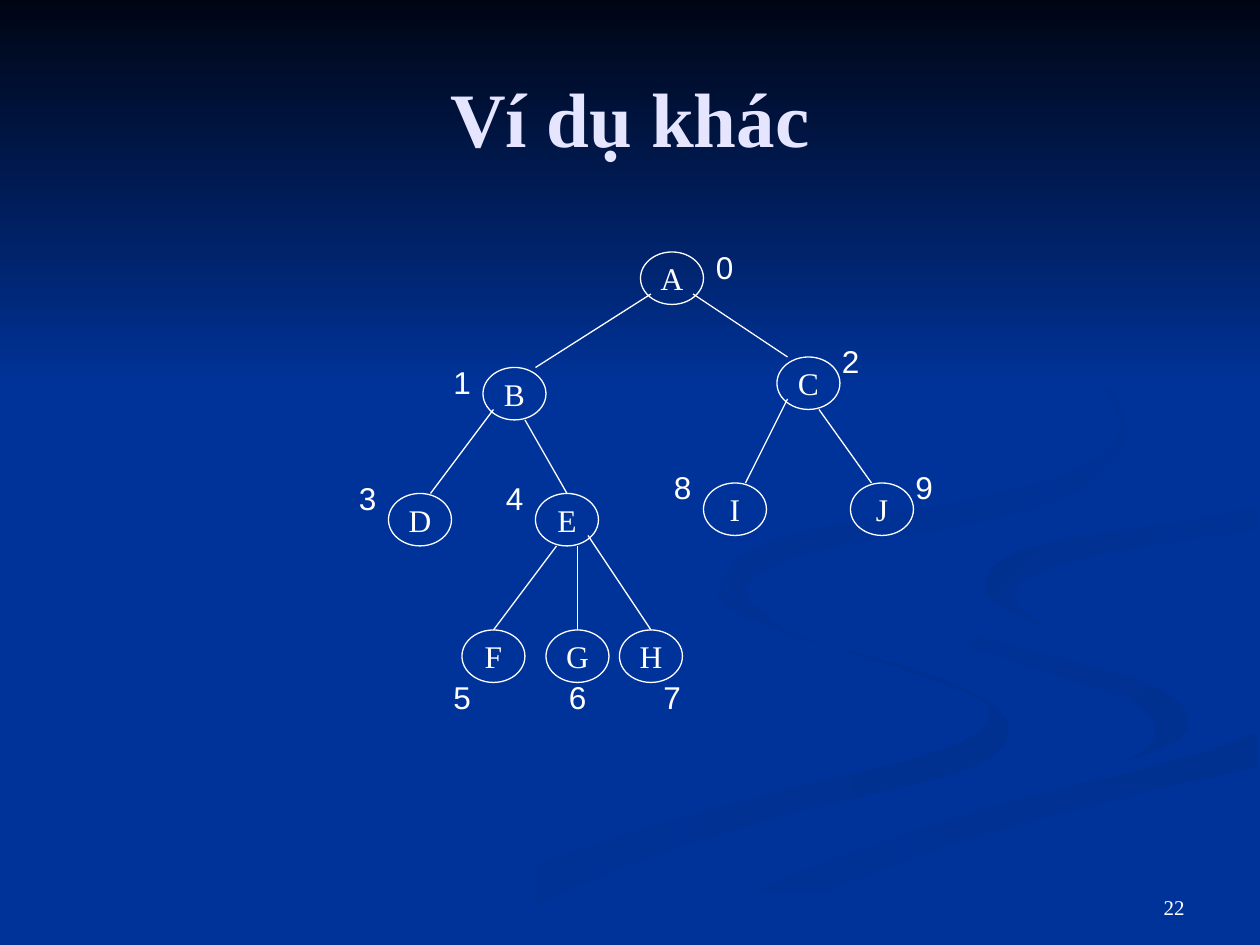
"""Build a slide with a numbered ten-node tree on a blue ribbon ground."""
import dataclasses
import itertools
import typing

import pptx
import pptx.dml.color
import pptx.enum.shapes
import pptx.enum.text
import pptx.oxml
import pptx.oxml.ns
import pptx.util

Cm = pptx.util.Cm
Pt = pptx.util.Pt
RGB = pptx.dml.color.RGBColor
Align = pptx.enum.text.PP_ALIGN
Anchor = pptx.enum.text.MSO_ANCHOR
Kind = pptx.enum.shapes.MSO_SHAPE
Point = tuple[float, float]

BLUE = RGB(0x00, 0x33, 0x99)
SHADE = RGB(0x00, 0x30, 0x90)
NIGHT = RGB(0x00, 0x05, 0x14)
WHITE = RGB(0xFF, 0xFF, 0xFF)
PALE = RGB(0xE5, 0xE5, 0xFF)
INCH = 2.54
STEPS = 6
WIDE, HIGH = 6, 5
SERIF = "Times New Roman"
TITLE = {"name": SERIF, "size": Pt(44), "bold": True}
NODE = {"name": SERIF, "size": Pt(18)}
LABEL = {"name": "Arial", "size": Pt(18)}
PAGE = {"name": SERIF, "size": Pt(12)}


@dataclasses.dataclass
class Node:
    name: str
    x: int
    y: int
    label: str
    label_x: int
    label_y: int


@dataclasses.dataclass
class Edge:
    start: tuple[int, int]
    child: str
    tip: tuple[int, int]


@dataclasses.dataclass
class Ribbon:
    first: RGB
    last: RGB
    angle: int
    sides: list[list[Point]]


NODES = [
    Node("A", 61, 24, "0", 67, 23),
    Node("B", 46, 35, "1", 42, 34),
    Node("C", 74, 34, "2", 79, 32),
    Node("D", 37, 47, "3", 33, 45),
    Node("E", 51, 47, "4", 47, 45),
    Node("F", 44, 60, "5", 42, 64),
    Node("G", 52, 60, "6", 53, 64),
    Node("H", 59, 60, "7", 62, 64),
    Node("I", 67, 46, "8", 63, 44),
    Node("J", 81, 46, "9", 86, 44),
]
EDGES = [
    Edge((62, 28), "B", (51, 35)),
    Edge((66, 28), "C", (75, 34)),
    Edge((47, 39), "D", (41, 47)),
    Edge((50, 40), "E", (54, 47)),
    Edge((53, 52), "F", (47, 60)),
    Edge((55, 52), "G", (55, 60)),
    Edge((56, 51), "H", (62, 60)),
    Edge((75, 38), "I", (71, 46)),
    Edge((78, 39), "J", (83, 46)),
]

LONG_OUT = [(5.75, 4.59), (5.75, 4.69), (5.94, 4.85), (6.42, 5.07), (7.15, 5.28), (7.67, 5.47), (7.95, 5.67),
            (7.99, 5.85), (7.8, 6.05), (7.21, 6.23), (6.23, 6.47), (4.99, 6.87), (3.61, 7.49)]
LONG_IN = [(5.75, 4.59), (5.7, 4.72), (5.86, 4.87), (6.31, 5.05), (7.14, 5.3), (7.7, 5.51), (7.86, 5.66),
           (7.67, 5.87), (7.14, 6.05), (6.16, 6.29), (4.99, 6.61), (3.76, 7.07), (3, 7.49)]
BEND_OUT = [(7.24, 4.64), (7.33, 4.83), (7.74, 5.03), (8.5, 5.24), (9.05, 5.4), (9.35, 5.57), (9.43, 5.75),
            (9.32, 5.89), (8.94, 6.05)]
BEND_IN = [(7.24, 4.64), (7.33, 4.88), (7.66, 5.12), (8.38, 5.36), (8.92, 5.53), (9.15, 5.71), (9.14, 5.89),
           (8.94, 6.05)]
FOOT_TOP = [(9.98, 5.81), (9.36, 6.02), (8.31, 6.29), (7.64, 6.47), (6.62, 6.81), (5.69, 7.19), (5.03, 7.49)]
FOOT_LOW = [(9.98, 6.09), (9.03, 6.3), (7.85, 6.61), (6.95, 6.92), (6.3, 7.19), (5.71, 7.49)]
HOOK_TOP = [(9.98, 4.02), (9.33, 4.15), (8.35, 4.3), (7.91, 4.47), (7.82, 4.69), (7.97, 4.83), (8.26, 4.96)]
HOOK_LOW = [(9.98, 4.2), (9.36, 4.29), (8.59, 4.43), (8.16, 4.59), (8.05, 4.76), (8.26, 4.96)]
BODY_HEAD = [(9.99, 3.87), (9.2, 4.01), (8.3, 4.15), (7.55, 4.32), (7.24, 4.64)]
BODY_TAIL = [(8.94, 6.05), (8.12, 6.25), (7.04, 6.55), (5.73, 7.03), (4.77, 7.49)]
BODY_LINK = [(8.26, 4.96), (8.66, 5.09), (9.23, 5.23), (9.99, 5.38)]
WAVE_OUT = [(7.62, 2.33), (8.21, 2.61), (8.64, 2.91), (8.86, 3.16), (8.94, 3.44), (8.83, 3.7), (8.41, 3.96),
            (7.64, 4.17), (6.83, 4.3), (6.24, 4.44), (5.96, 4.61), (5.94, 4.75), (6.22, 5)]
WAVE_IN = [(7.62, 2.33), (8.26, 2.66), (8.7, 2.99), (8.89, 3.35), (8.76, 3.6), (8.3, 3.82), (7.33, 4.04),
           (6.37, 4.22), (5.89, 4.41), (5.77, 4.62), (5.9, 4.84), (6.22, 5)]
RIBBONS = [
    Ribbon(BLUE, SHADE, 0, [LONG_OUT, LONG_IN[::-1]]),
    Ribbon(BLUE, SHADE, 45, [BEND_OUT, BEND_IN[::-1]]),
    Ribbon(SHADE, BLUE, 90, [FOOT_TOP, FOOT_LOW[::-1]]),
    Ribbon(BLUE, BLUE, 0, [BODY_HEAD, BEND_OUT, BODY_TAIL, FOOT_TOP[::-1], BODY_LINK[::-1], HOOK_TOP[::-1]]),
    Ribbon(SHADE, BLUE, 45, [HOOK_TOP, HOOK_LOW[::-1]]),
    Ribbon(SHADE, BLUE, 45, [WAVE_OUT, WAVE_IN[::-1]]),
]


def style(item: typing.Any, form: dict) -> None:
    for key, value in form.items():
        setattr(item, key, value)


def write(shape: typing.Any, text: str, font: dict, color: RGB, align: Align, **frame: typing.Any) -> None:
    style(shape.text_frame, frame)
    para = shape.text_frame.paragraphs[0]
    para.alignment = align
    run = para.add_run()
    run.text = text
    style(run.font, font)
    run.font.color.rgb = color


def blend(shape: typing.Any, first: RGB, last: RGB, angle: int) -> None:
    shape.shadow.inherit = False
    shape.line.fill.background()
    fill = shape.fill
    if first == last:
        fill.solid()
        fill.fore_color.rgb = first
        return
    fill.gradient()
    fill.gradient_angle = (360 - angle) % 360
    for stop, color in zip(fill.gradient_stops, (first, last)):
        stop.color.rgb = color


def grid(*units: int) -> list[Cm]:
    return [Cm(unit * INCH / 12) for unit in units]


def inches(*sizes: float) -> list[Cm]:
    return [Cm(size * INCH) for size in sizes]


def spline(a: float, b: float, c: float, d: float, t: float) -> float:
    return b + t / 2 * (c - a + t * (2 * a - 5 * b + 4 * c - d + t * (3 * (b - c) + d - a)))


def smooth(knots: list[Point]) -> list[Point]:
    ends = [knots[0], *knots, knots[-1]]
    spans = zip(ends, ends[1:], ends[2:], ends[3:])
    curve = [tuple(spline(*axis, step / STEPS) for axis in zip(*span))
             for span in spans for step in range(STEPS)]
    return [*curve, knots[-1]]


def trace(shapes: typing.Any, ribbon: Ribbon) -> None:
    first, *rest = itertools.chain.from_iterable(map(smooth, ribbon.sides))
    scale = Cm(INCH / 100)
    pen = shapes.build_freeform(first[0] * 100, first[1] * 100, scale=scale)
    pen.add_line_segments([(x * 100, y * 100) for x, y in rest], close=True)
    blend(pen.convert_to_shape(), ribbon.first, ribbon.last, ribbon.angle)


def plot(shapes: typing.Any, node: Node) -> typing.Any:
    oval = shapes.add_shape(Kind.OVAL, *grid(node.x, node.y, WIDE, HIGH))
    oval.shadow.inherit = False
    oval.fill.background()
    oval.line.color.rgb = WHITE
    oval.line.width = Pt(0.75)
    write(oval, node.name, NODE, WHITE, Align.CENTER, word_wrap=False, vertical_anchor=Anchor.MIDDLE)
    return oval


def tag(shapes: typing.Any, node: Node) -> None:
    box = shapes.add_textbox(*grid(node.label_x, node.label_y, 5), Cm(1.02))
    write(box, node.label, LABEL, WHITE, Align.LEFT, word_wrap=True,
          auto_size=pptx.enum.text.MSO_AUTO_SIZE.SHAPE_TO_FIT_TEXT)


def link(shapes: typing.Any, edge: Edge, node: Node, oval: typing.Any) -> None:
    line = shapes.add_connector(pptx.enum.shapes.MSO_CONNECTOR.STRAIGHT, *grid(*edge.start, *edge.tip))
    line.line.color.rgb = WHITE
    line.line.width = Pt(0.75)
    if edge.tip == (node.x + WIDE // 2, node.y):
        line.end_connect(oval, 0)
    line._element.spPr.append(pptx.oxml.parse_xml(f"<a:effectLst {pptx.oxml.ns.nsdecls('a')}/>"))


def main() -> None:
    deck = pptx.Presentation()
    style(deck, dict(zip(("slide_width", "slide_height"), inches(10, 7.5))))
    slide = deck.slides.add_slide(deck.slide_layouts[5])
    shapes = slide.shapes
    slide.background.fill.solid()
    slide.background.fill.fore_color.rgb = BLUE
    for ribbon in RIBBONS:
        trace(shapes, ribbon)
    blend(shapes.add_shape(Kind.RECTANGLE, *inches(0, 0, 10, 3.08)), NIGHT, BLUE, 90)
    page = shapes.add_textbox(*inches(7.17, 6.83, 2.33, 0.52))
    write(page, "22", PAGE, WHITE, Align.RIGHT, word_wrap=True, vertical_anchor=Anchor.BOTTOM)
    title = shapes.title
    style(title, dict(zip(("left", "top", "width", "height"), inches(0.5, 0.3, 9, 1.25))))
    write(title, "Ví dụ khác", TITLE, PALE, Align.CENTER, vertical_anchor=Anchor.MIDDLE)
    shapes._spTree.append(title._element)
    ovals = {node.name: (node, plot(shapes, node)) for node in NODES}
    for edge in EDGES:
        link(shapes, edge, *ovals[edge.child])
    for node in NODES:
        tag(shapes, node)
    deck.save("out.pptx")


if __name__ == "__main__":
    main()
